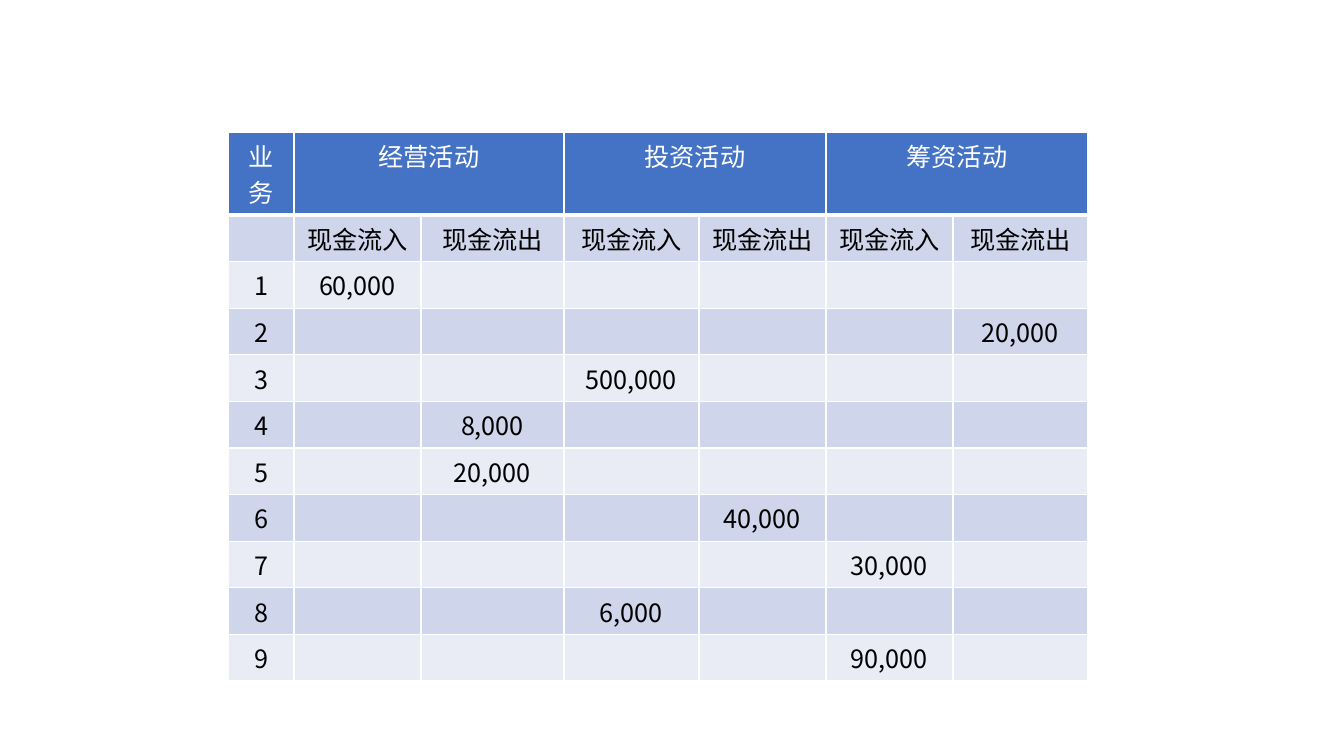
import lxml.etree
import pptx
import pptx.dml.color
import pptx.enum.text
import pptx.oxml.ns
import pptx.util

PX = 914400 / 100.8
FONT = "Noto Sans CJK SC"
WHITE, BLACK = "FFFFFF", "000000"
HEADER_FILL, BAND_FILLS = "4472C4", ("CFD5EA", "E9EBF5")

COLUMN_WIDTHS = (66, 127, 143, 135, 127, 127, 135)
HEADER_HEIGHT, ROW_HEIGHT = 71, 41
ACTIVITIES = ("经营活动", "投资活动", "筹资活动")
DIRECTIONS = ("现金流入", "现金流出")
# One (column, amount) for each numbered transaction
CASH_FLOWS = (
    (1, "60,000"), (6, "20,000"), (3, "500,000"),
    (2, "8,000"), (2, "20,000"), (4, "40,000"),
    (5, "30,000"), (3, "6,000"), (5, "90,000"),
)


def px(length):
    return pptx.util.Emu(round(length * PX))


def colour(value):
    return pptx.dml.color.RGBColor.from_string(value)


def add_borders(cell, top, bottom):
    """Draw white cell edges; top and bottom are widths in points."""
    properties = cell._tc.get_or_add_tcPr()
    for edge, width in (("lnL", 1), ("lnR", 1), ("lnT", top), ("lnB", bottom)):
        line = lxml.etree.SubElement(
            properties, pptx.oxml.ns.qn("a:" + edge), w=str(pptx.util.Pt(width)))
        fill = lxml.etree.SubElement(line, pptx.oxml.ns.qn("a:solidFill"))
        lxml.etree.SubElement(fill, pptx.oxml.ns.qn("a:srgbClr"), val=WHITE)


def write_cell(cell, text, text_colour):
    para = cell.text_frame.paragraphs[0]
    para.alignment = pptx.enum.text.PP_ALIGN.CENTER
    if not text:
        return
    span = para.add_run()
    span.text = text
    span.font.name = FONT
    span.font.size = pptx.util.Pt(18)
    span.font.bold = False
    span.font.color.rgb = colour(text_colour)
    lxml.etree.SubElement(
        span.font._element, pptx.oxml.ns.qn("a:ea"), typeface=FONT)


def cash_flow_rows():
    header = ["业务"]
    for activity in ACTIVITIES:
        header += [activity, ""]
    rows = [header, ["", *DIRECTIONS * len(ACTIVITIES)]]
    for number, (column, amount) in enumerate(CASH_FLOWS, 1):
        row = [str(number)] + [""] * (len(COLUMN_WIDTHS) - 1)
        row[column] = amount
        rows.append(row)
    return rows


def add_cash_flow_table(page, left, top):
    rows = cash_flow_rows()
    height = HEADER_HEIGHT + ROW_HEIGHT * (len(rows) - 1)
    table = page.shapes.add_table(
        len(rows), len(COLUMN_WIDTHS),
        px(left), px(top), px(sum(COLUMN_WIDTHS)), px(height)).table
    for column, width in zip(table.columns, COLUMN_WIDTHS):
        column.width = px(width)

    for row_index, row in enumerate(rows):
        is_header = row_index == 0
        table.rows[row_index].height = px(HEADER_HEIGHT if is_header else ROW_HEIGHT)
        for column_index, text in enumerate(row):
            cell = table.cell(row_index, column_index)
            add_borders(cell, 3 if row_index == 1 else 1, 3 if is_header else 1)
            cell.fill.solid()
            cell.fill.fore_color.rgb = colour(
                HEADER_FILL if is_header else BAND_FILLS[(row_index - 1) % 2])
            write_cell(cell, text, WHITE if is_header else BLACK)

    # Each activity heading covers its inflow and outflow columns
    for column_index in range(1, len(COLUMN_WIDTHS), 2):
        table.cell(0, column_index).merge(table.cell(0, column_index + 1))


def main():
    deck = pptx.Presentation()
    deck.slide_width, deck.slide_height = px(1344), px(756)
    page = deck.slides.add_slide(deck.slide_layouts[6])
    add_cash_flow_table(page, 228, 132)
    deck.save("out.pptx")


if __name__ == "__main__":
    main()
